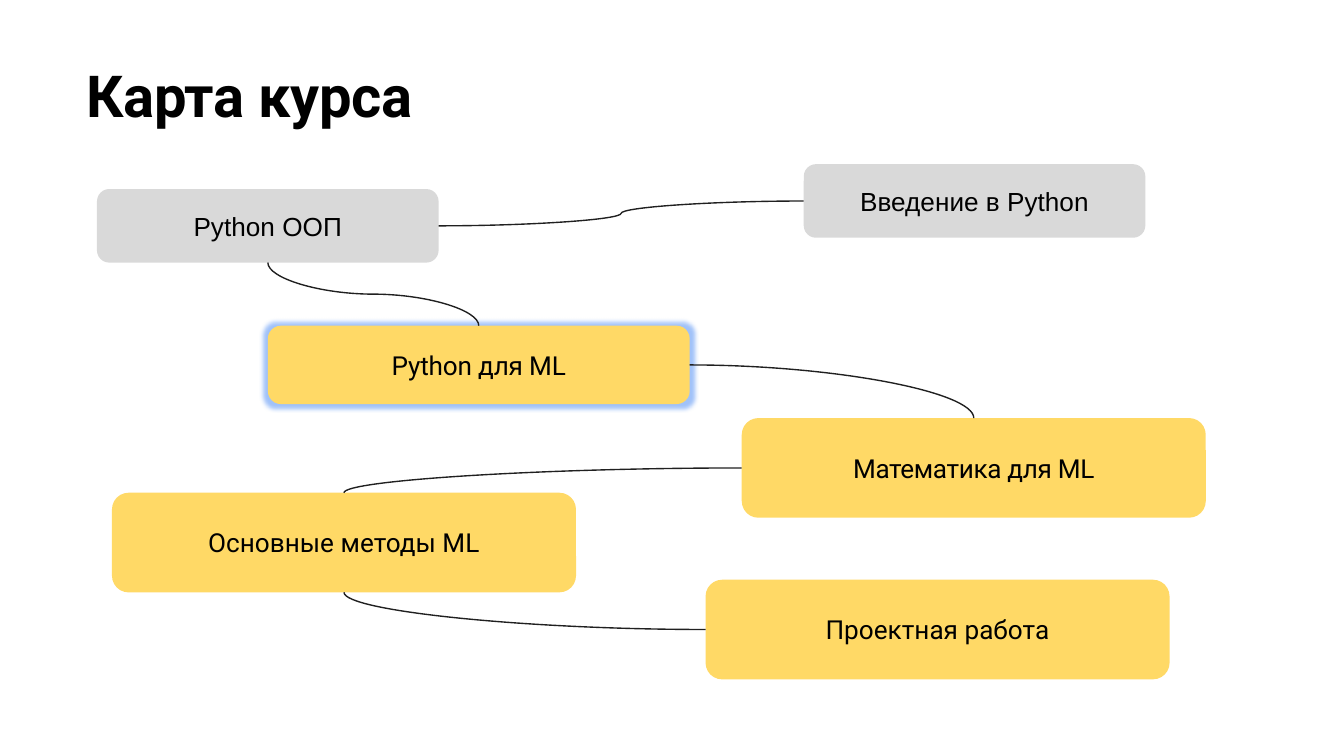
from lxml import etree
from pptx import Presentation
from pptx.dml.color import RGBColor
from pptx.enum.shapes import MSO_CONNECTOR, MSO_SHAPE
from pptx.enum.text import MSO_ANCHOR, MSO_AUTO_SIZE, PP_ALIGN
from pptx.oxml.ns import qn
from pptx.util import Pt

ROUNDED = MSO_SHAPE.ROUNDED_RECTANGLE
CURVE = MSO_CONNECTOR.CURVE
CENTER, LEFT = PP_ALIGN.CENTER, PP_ALIGN.LEFT
MIDDLE, ABOVE = MSO_ANCHOR.MIDDLE, MSO_ANCHOR.TOP
FIT_SHAPE = MSO_AUTO_SIZE.SHAPE_TO_FIT_TEXT
TOP_SITE, LEFT_SITE, BOTTOM_SITE, RIGHT_SITE = range(4)

COLORS = {
    "text": "000000",
    "passed": "D9D9D9",
    "ahead": "FFD966",
    "route": "202020",
    "glow": "4285F4",
}

COURSES = {
    "intro": ("Введение в Python", (430.6, 88, 183, 39.4), "passed", "Arial", 0),
    "python_ml": ("Python для ML", (143.5, 174.5, 226, 42), "ahead", "Roboto", -0.1),
    "math": ("Математика для ML", (397.4, 224, 248.6, 53.4), "ahead", "Roboto", -0.2),
    "methods": ("Основные методы ML", (60, 264, 248.6, 53.4), "ahead", "Roboto", 0),
    "project": ("Проектная работа", (378, 310.6, 248.6, 53.4), "ahead", "Roboto", 0),
    "oop": ("Python ООП", (52, 101.3, 183, 39.4), "passed", "Arial", 0),
}

ROUTES = [
    ("intro", LEFT_SITE, "oop", RIGHT_SITE),
    ("oop", BOTTOM_SITE, "python_ml", TOP_SITE),
    ("python_ml", RIGHT_SITE, "math", TOP_SITE),
    ("math", LEFT_SITE, "methods", TOP_SITE),
    ("project", LEFT_SITE, "methods", BOTTOM_SITE),
]


def color(name):
    """Return the palette colour of that name."""
    return RGBColor.from_string(COLORS[name])


def add_run(paragraph, text, font_name, size, spacing=0, bold=False):
    """Add one formatted run; letter spacing is in points."""
    run = paragraph.add_run()
    run.text = text
    run.font.name = font_name
    run.font.size = Pt(size)
    run.font.bold = bold
    run.font.color.rgb = color("text")
    if spacing:
        run.font._element.set("spc", str(round(spacing * 100)))


def place_title(slide, box):
    """Put the heading into the title placeholder."""
    title = slide.shapes.title
    title.left, title.top, title.width, title.height = map(Pt, box)
    frame = title.text_frame
    frame.margin_left = frame.margin_right = frame.margin_bottom = 0
    frame.margin_top = Pt(1.8)
    frame.vertical_anchor = ABOVE
    frame.word_wrap = True
    frame.auto_size = FIT_SHAPE
    heading = frame.paragraphs[0]
    heading.alignment = LEFT
    heading.space_before = 0
    heading._p.get_or_add_pPr().set("marL", str(Pt(0.9)))
    add_run(heading, "Карта ", "Roboto", 31, -0.3, True)
    add_run(heading, "курса", "Roboto", 31, -0.1, True)


def place_course(slide, label, box, fill, font_name, spacing):
    """Draw one course card in its box and return it."""
    card = slide.shapes.add_shape(ROUNDED, *map(Pt, box))
    card.shadow.inherit = False
    card.fill.solid()
    card.fill.fore_color.rgb = color(fill)
    card.line.fill.background()
    frame = card.text_frame
    frame.word_wrap = True
    frame.vertical_anchor = MIDDLE
    frame.paragraphs[0].alignment = CENTER
    add_run(frame.paragraphs[0], label, font_name, 14, spacing)
    return card


def highlight(card):
    """Surround the current course with a soft glow."""
    effects = card._element.spPr.find(qn("a:effectLst"))
    glow = etree.SubElement(effects, qn("a:glow"), rad=str(Pt(4.5)))
    tint = etree.SubElement(glow, qn("a:srgbClr"), val=COLORS["glow"])
    etree.SubElement(tint, qn("a:alpha"), val="50000")


def place_route(slide, start, start_site, end, end_site):
    """Join two cards with a curve that leaves each side at a right angle."""
    route = slide.shapes.add_connector(CURVE, 0, 0, 0, 0)
    route.begin_connect(start, start_site)
    route.end_connect(end, end_site)
    route.line.color.rgb = color("route")
    route.line.width = Pt(0.75)
    properties = route._element.spPr
    etree.SubElement(properties, qn("a:effectLst"))
    vertical = (TOP_SITE, BOTTOM_SITE)
    if start_site in vertical:
        width, height = route.width, route.height
        route.left += (width - height) // 2
        route.top += (height - width) // 2
        route.width, route.height = height, width
        frame = properties.find(qn("a:xfrm"))
        frame.set("rot", "16200000")
        frame.set("flipH", "1")
    elif end_site in vertical:
        properties.find(qn("a:prstGeom")).set("prst", "curvedConnector2")


def place_course_map(slide):
    """Draw all course cards and the routes between them."""
    cards = {key: place_course(slide, *course) for key, course in COURSES.items()}
    highlight(cards["python_ml"])
    for start, start_site, end, end_site in ROUTES:
        place_route(slide, cards[start], start_site, cards[end], end_site)


def main():
    """Build and save the course map slide."""
    presentation = Presentation()
    presentation.slide_width, presentation.slide_height = Pt(720), Pt(405)
    slide = presentation.slides.add_slide(presentation.slide_layouts[5])
    place_title(slide, (45.7, 30.4, 490, 39))
    place_course_map(slide)
    presentation.save("out.pptx")


if __name__ == "__main__":
    main()
